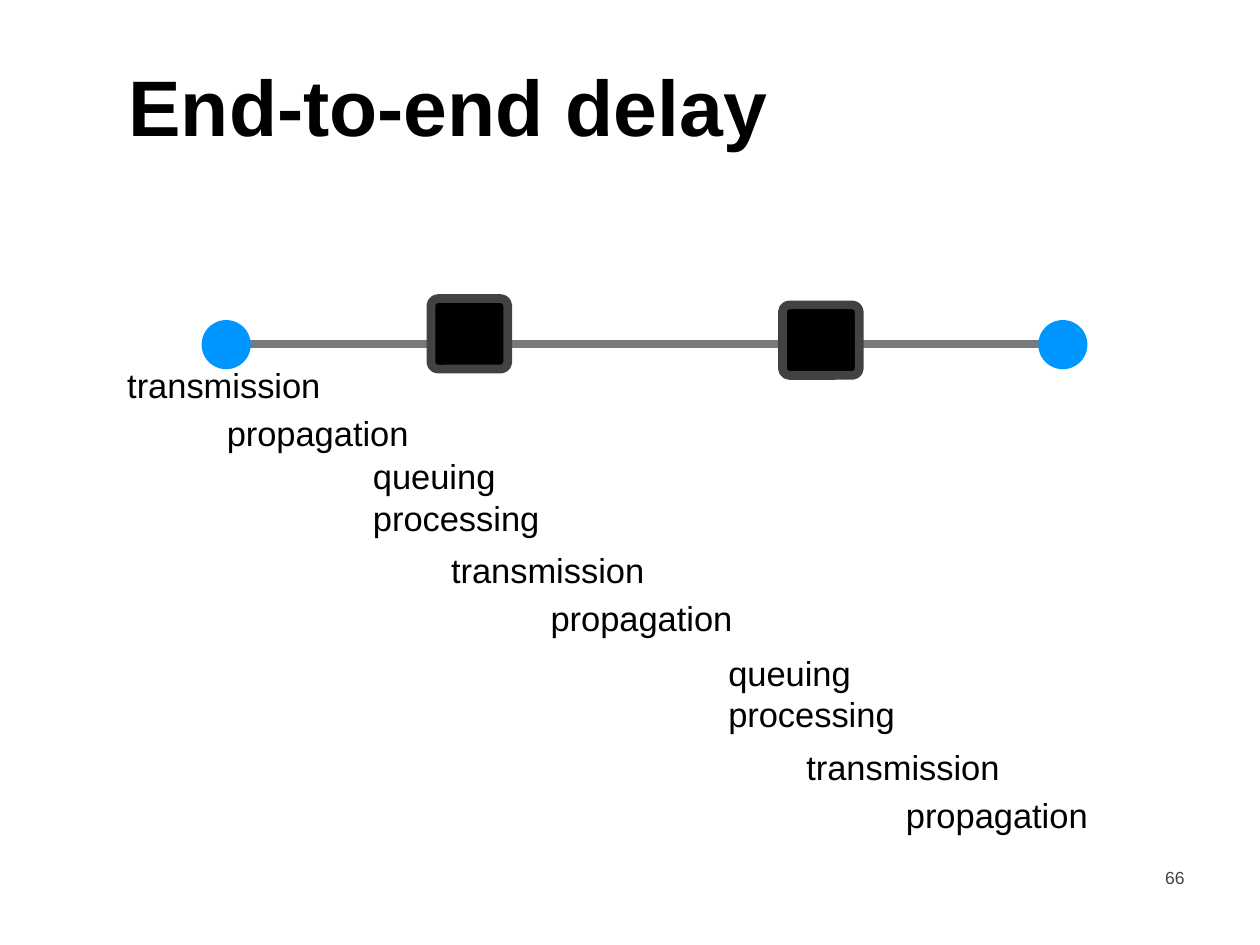
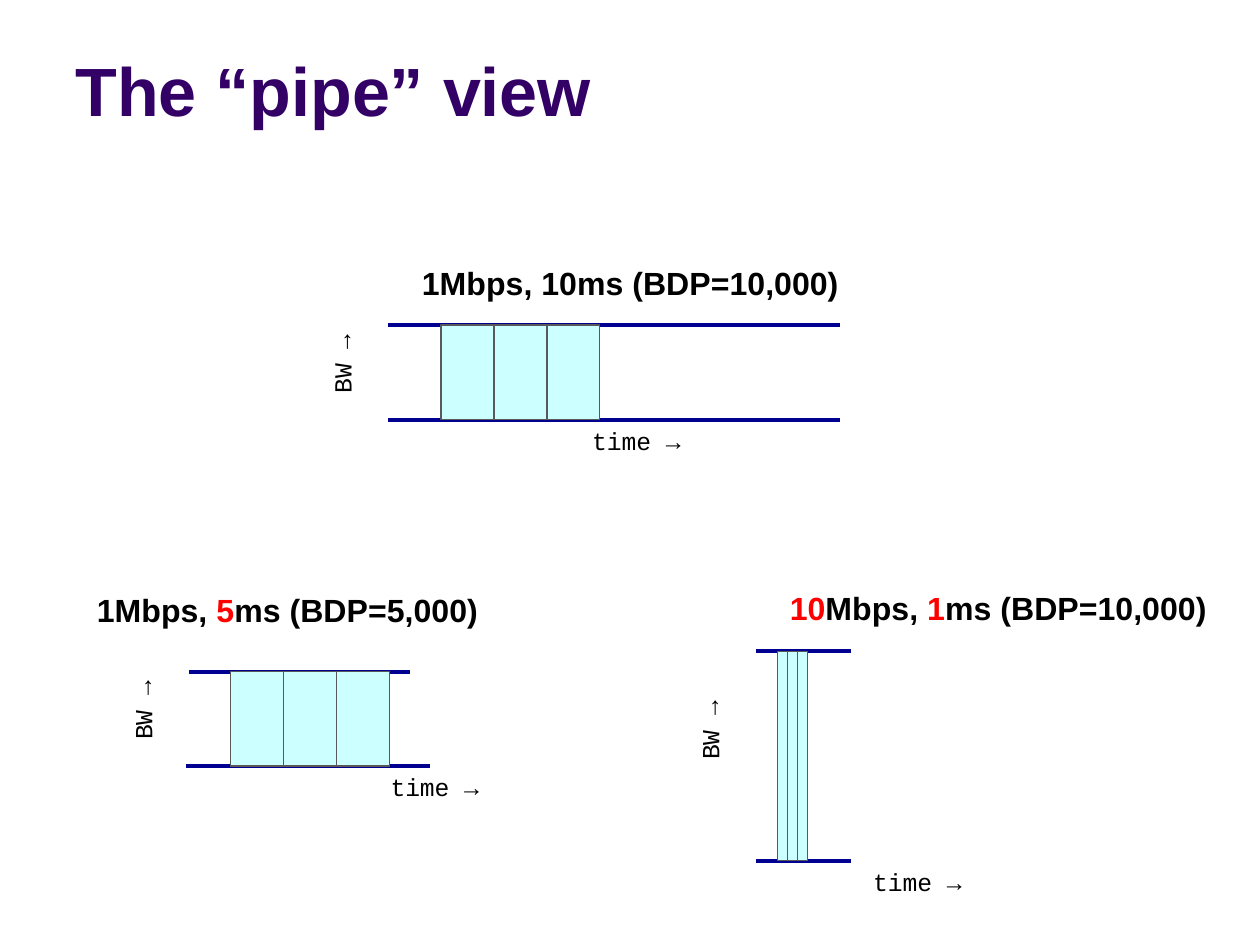
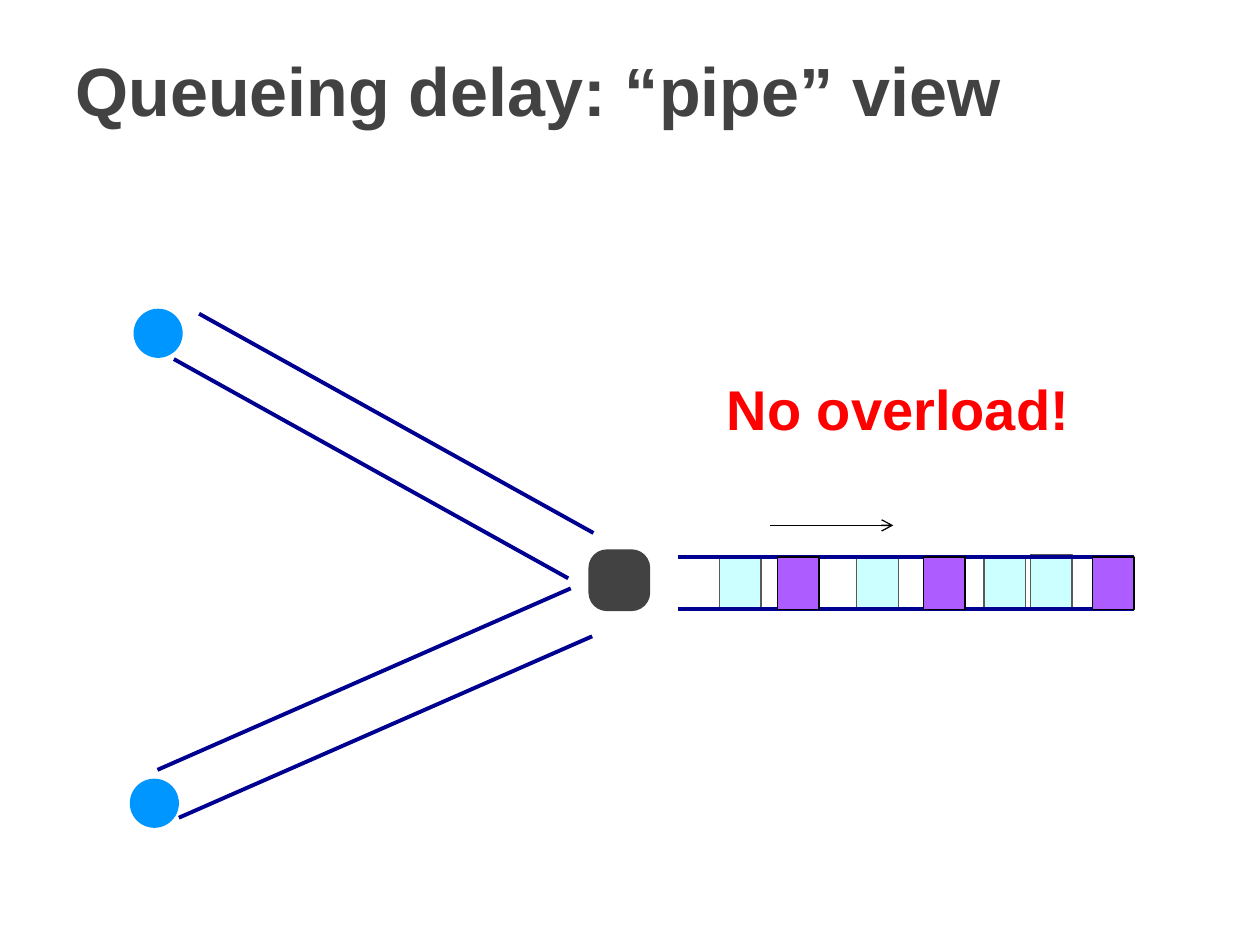
from dataclasses import dataclass

from lxml.etree import SubElement
from pptx import Presentation
from pptx.dml.color import RGBColor
from pptx.enum.shapes import MSO_CONNECTOR, MSO_SHAPE
from pptx.enum.text import MSO_ANCHOR, MSO_AUTO_SIZE, PP_ALIGN
from pptx.oxml.ns import qn
from pptx.util import Inches, Pt


@dataclass(frozen=True)
class Theme:
    sans: str = "Arial"
    mono: str = "Courier New"
    black: str = "000000"
    charcoal: str = "424242"
    gray: str = "797979"
    outline: str = "595959"
    node: str = "0096FF"
    wall: str = "000090"
    cyan: str = "CCFFFF"
    purple: str = "AD5CFF"
    indigo: str = "330066"
    red: str = "FF0000"
    big_title_size: float = 45
    title_size: float = 39
    callout_size: float = 32
    label_size: float = 19.7
    caption_size: float = 18.3
    axis_size: float = 14.1
    number_size: float = 10
    thick: float = 5
    wall_width: float = 2.25
    thin: float = 0.75


THEME = Theme()
NODE_SIZE = 0.39
PACKET_WIDTH, PACKET_HEIGHT = 0.33, 0.42

TITLE_FRAME = {"vertical_anchor": MSO_ANCHOR.BOTTOM, "word_wrap": True,
               "auto_size": MSO_AUTO_SIZE.NONE}
TIGHT_FRAME = {"vertical_anchor": MSO_ANCHOR.MIDDLE, "word_wrap": True,
               "margin_left": Inches(0.04), "margin_right": Inches(0.04),
               "margin_top": Inches(0.04), "margin_bottom": Inches(0.04)}
WRAPPED_FRAME = {"word_wrap": True}
GROWING_FRAME = {"word_wrap": False, "auto_size": MSO_AUTO_SIZE.SHAPE_TO_FIT_TEXT}

LABEL_FONT = {"name": THEME.sans, "size": Pt(THEME.label_size)}
CAPTION_FONT = {"name": THEME.sans, "size": Pt(THEME.caption_size), "bold": True}
AXIS_FONT = {"name": THEME.mono, "size": Pt(THEME.axis_size)}
CALLOUT_FONT = {"name": THEME.sans, "size": Pt(THEME.callout_size), "bold": True}
NUMBER_FONT = {"name": THEME.sans, "size": Pt(THEME.number_size)}


def inches(values):
    return [Inches(round(value, 2)) for value in values]


def apply(target, values):
    for name, value in values.items():
        setattr(target, name, value)


def write(shape, spans, font, frame, para_format=None):
    """Fill a shape with one paragraph made of (text, colour) spans."""
    apply(shape.text_frame, frame)
    para = shape.text_frame.paragraphs[0]
    apply(para, para_format or {})
    for text, colour in spans:
        span = para.add_run()
        span.text = text
        apply(span.font, font)
        span.font.color.rgb = RGBColor.from_string(colour)


def add_text(page, box, spans, font, frame, para_format=None):
    shape = page.shapes.add_textbox(*inches(box))
    write(shape, spans, font, frame, para_format)
    return shape


def add_title(page, text, colour, size=THEME.title_size,
              box=(0.5, 0.13, 9.5, 0.95), frame=TITLE_FRAME):
    title = page.shapes.title
    apply(title, dict(zip(("left", "top", "width", "height"), inches(box))))
    font = {"name": THEME.sans, "size": Pt(size), "bold": True}
    write(title, [(text, colour)], font, frame, {"alignment": PP_ALIGN.LEFT})


def add_block(page, kind, box, fill, line=None, width=THEME.thin, corner=None):
    shape = page.shapes.add_shape(kind, *inches(box))
    shape.shadow.inherit = False
    shape.fill.solid()
    shape.fill.fore_color.rgb = RGBColor.from_string(fill)
    if line:
        shape.line.color.rgb = RGBColor.from_string(line)
        shape.line.width = Pt(width)
    else:
        shape.line.fill.background()
    if corner is not None:
        shape.adjustments[0] = corner


def add_line(page, start, end, colour=THEME.wall, width=THEME.wall_width, arrow=False):
    connector = page.shapes.add_connector(
        MSO_CONNECTOR.STRAIGHT, *inches((*start, *end)))
    connector.line.color.rgb = RGBColor.from_string(colour)
    connector.line.width = Pt(width)
    properties = connector._element.spPr
    if arrow:
        SubElement(properties.find(qn("a:ln")), qn("a:tailEnd"), type="arrow")
    SubElement(properties, qn("a:effectLst"))


def add_node(page, left, top):
    add_block(page, MSO_SHAPE.OVAL, (left, top, NODE_SIZE, NODE_SIZE), THEME.node)


def add_packet(page, box, fill=THEME.cyan, line=THEME.outline):
    add_block(page, MSO_SHAPE.RECTANGLE, box, fill, line)


def add_network_path(page, left, top, length):
    """Two end nodes joined through two routers; left and top are the first node's."""
    middle = top + 0.19
    add_line(page, (left + 0.25, middle), (left + length - 0.28, middle),
             THEME.gray, THEME.thick)
    for node_left in (left, left + length - NODE_SIZE):
        add_node(page, node_left, top)
    for dx, dy in ((1.82, -0.17), (4.61, -0.12)):
        add_block(page, MSO_SHAPE.ROUNDED_RECTANGLE, (left + dx, top + dy, 0.61, 0.56),
                  THEME.black, THEME.charcoal, THEME.thick, 0.1)


def add_hop_delays(page, left, top, at_router):
    """Delay labels of one hop, placed relative to its transmission label."""
    labels = [("transmission", 0, 0), ("propagation", 0.79, 0.38)]
    if at_router:
        labels = [("queuing", -0.62, -0.75), ("processing", -0.62, -0.42)] + labels
    for text, dx, dy in labels:
        add_text(page, (left + dx, top + dy, 1.67, 0.41), [(text, THEME.black)],
                 LABEL_FONT, TIGHT_FRAME)


@dataclass(frozen=True)
class Pipe:
    """Offsets are measured from the left end of the top wall."""
    left: float
    top: float
    length: float
    height: float
    packet_offset: float
    packet_width: float
    caption: tuple
    caption_box: tuple
    time_offset: float
    bandwidth_drop: float = 0.18
    lower_wall: tuple = None


PIPES = (
    Pipe(3.08, 2.58, 3.59, 0.75, 0.42, 0.42,
         (("1Mbps, 10ms (BDP=10,000)", THEME.black),), (0.17, -0.6, 3.6), 1.44),
    Pipe(6, 5.17, 0.75, 1.66, 0.17, 0.08,
         (("10", THEME.red), ("Mbps, ", THEME.black), ("1", THEME.red),
          ("ms (BDP=10,000)", THEME.black)), (0.17, -0.61, 3.6), 0.75, 0.5),
    Pipe(1.5, 5.33, 1.75, 0.75, 0.33, 0.42,
         (("1Mbps, ", THEME.black), ("5", THEME.red),
          ("ms (BDP=5,000)", THEME.black)), (-0.83, -0.75, 3.32), 1.42,
         lower_wall=(-0.02, 1.91)),
)


def add_pipe(page, pipe):
    left, top, bottom = pipe.left, pipe.top, pipe.top + pipe.height
    full = (0, pipe.length)
    for y, (start, end) in ((top, full), (bottom, pipe.lower_wall or full)):
        add_line(page, (left + start, y), (left + end, y))
    for index in range(3):
        packet_left = left + pipe.packet_offset + index * pipe.packet_width
        add_packet(page, (packet_left, top, pipe.packet_width, pipe.height))
    dx, dy, width = pipe.caption_box
    add_text(page, (left + dx, top + dy, width, 0.47), pipe.caption,
             CAPTION_FONT, GROWING_FRAME, {"line_spacing": 1.2})
    right_aligned = {"alignment": PP_ALIGN.RIGHT}
    add_text(page, (left + pipe.time_offset, bottom, 0.98, 0.34),
             [("time →", THEME.black)], AXIS_FONT, GROWING_FRAME, right_aligned)
    bandwidth = add_text(page, (left - 0.74, top + pipe.bandwidth_drop, 0.75, 0.34),
                         [("BW →", THEME.black)], AXIS_FONT, GROWING_FRAME, right_aligned)
    bandwidth.rotation = 270


def add_access_link(page, start, end, shift):
    """Two parallel walls, the second moved by shift."""
    for step in (0, 1):
        add_line(page, *[(x + step * shift[0], y + step * shift[1])
                         for x, y in (start, end)])


def add_flow(page, left, top, packets, fill, line):
    """Walls of the shared link and one sender's packets as (offset, rise)."""
    for y in (top, top + 0.41):
        add_line(page, (left, y), (left + 3.58, y))
    for offset, rise in packets:
        add_packet(page, (left + offset, top - rise, PACKET_WIDTH, PACKET_HEIGHT),
                   fill, line)


def build_delay_slide(page):
    add_network_path(page, 1.6, 2.54, 7.03)
    add_title(page, "End-to-end delay", THEME.black, THEME.big_title_size,
              (0.98, -0.11, 8.05, 1.88), TITLE_FRAME | TIGHT_FRAME)
    for left, top, at_router in ((0.97, 2.85, False), (3.54, 4.32, True),
                                 (6.36, 5.88, True)):
        add_hop_delays(page, left, top, at_router)
    add_text(page, (7.17, 6.83, 2.33, 0.5), [("66", THEME.charcoal)],
             NUMBER_FONT, WRAPPED_FRAME, {"alignment": PP_ALIGN.RIGHT})


def build_pipe_slide(page):
    add_title(page, "The “pipe” view", THEME.indigo)
    for pipe in PIPES:
        add_pipe(page, pipe)


def build_queueing_slide(page):
    add_title(page, "Queueing delay: “pipe” view", THEME.charcoal)
    add_access_link(page, (1.58, 2.49), (4.71, 4.23), (-0.2, 0.36))
    add_access_link(page, (1.25, 6.11), (4.53, 4.67), (0.17, 0.38))
    add_flow(page, 5.38, 4.42, ((2.8, 0.02), (2.43, 0.01), (1.42, 0), (0.33, 0)),
             THEME.cyan, THEME.outline)
    add_flow(page, 5.42, 4.42, ((0.75, 0), (3.25, 0), (1.91, 0)),
             THEME.purple, THEME.black)
    add_text(page, (5.67, 2.92, 3.42, 0.64), [("No overload!", THEME.red)],
             CALLOUT_FONT, WRAPPED_FRAME)
    for left, top in ((1.06, 2.45), (1.03, 6.18)):
        add_node(page, left, top)
    add_block(page, MSO_SHAPE.ROUNDED_RECTANGLE, (4.67, 4.36, 0.49, 0.49),
              THEME.charcoal, corner=0.3)
    add_line(page, (6.11, 4.17), (7.09, 4.17), THEME.black, THEME.thin, arrow=True)


def main():
    deck = Presentation()
    deck.slide_width, deck.slide_height = Inches(10), Inches(7.5)
    title_only = deck.slide_layouts[5]
    for build in (build_delay_slide, build_pipe_slide, build_queueing_slide):
        build(deck.slides.add_slide(title_only))
    deck.save("out.pptx")


if __name__ == "__main__":
    main()
